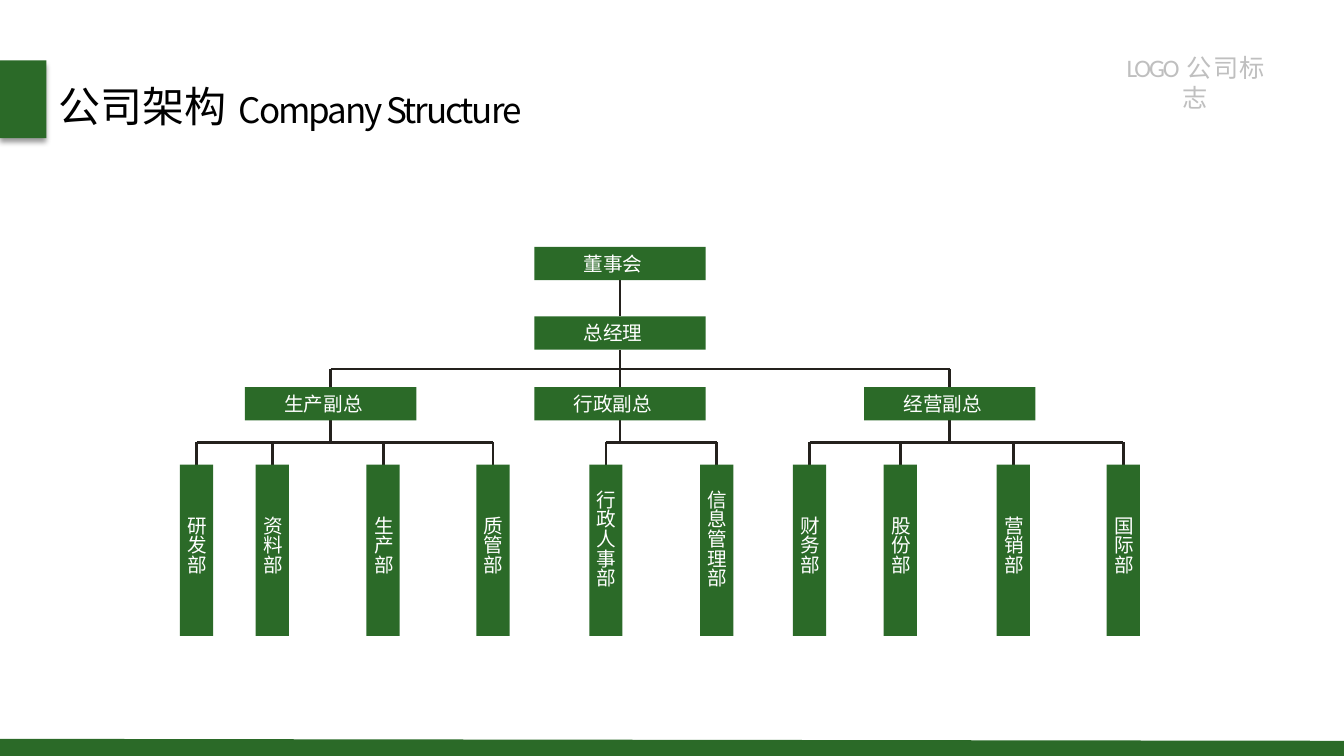
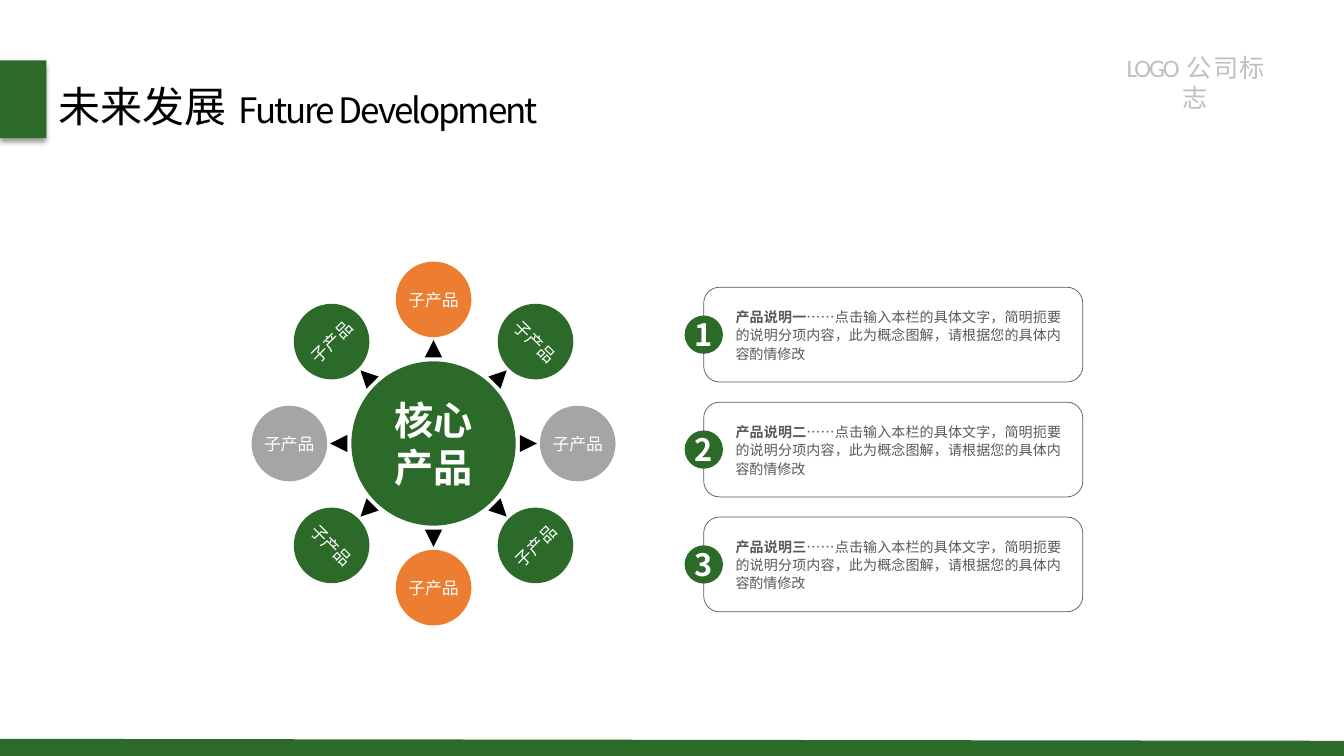
from math import cos, radians, sin

from lxml import etree
from pptx import Presentation
from pptx.dml.color import RGBColor
from pptx.enum.shapes import MSO_CONNECTOR as Link, MSO_SHAPE as Kind
from pptx.enum.text import MSO_ANCHOR as Anchor, PP_ALIGN as Align
from pptx.oxml.ns import qn
from pptx.util import Inches, Pt

GREEN, ORANGE, GREY = "2B6A28", "ED7D31", "A5A5A5"
WHITE, BLACK, INK, PALE, WIRE = "FFFFFF", "000000", "595959", "BFBFBF", "24211D"
FONT = "Noto Sans CJK SC"
TIGHT = -1.5

# Organisation chart: name and centre of each part
HEADS = [("董事会", 2.45), ("总经理", 3.14)]
MID = 6.15
TEAMS = [
    ("生产副总", 3.28, [("研发部", 1.95), ("资料部", 2.7), ("生产部", 3.8), ("质管部", 4.89)]),
    ("行政副总", MID, [("行政人事部", 6.01), ("信息管理部", 7.11)]),
    ("经营副总", 9.42, [("财务部", 8.03), ("股份部", 8.93), ("营销部", 10.05), ("国际部", 11.14)]),
]
LONG, THIN = 1.7, 0.33
TEAM_Y, DEPT_Y = 3.84, 4.61
BUS_Y, DROP_Y = 3.66, 4.39

# Product wheel and notes
CORE, CHILD = "核心产品", "子产品"
HUB_X, HUB_Y = 4.3, 4.4
TINTS = [ORANGE, GREEN, GREY, GREEN]
NOTES = ["产品说明一", "产品说明二", "产品说明三"]
DETAIL = "……点击输入本栏的具体文字，简明扼要的说明分项内容，此为概念图解，请根据您的具体内容酌情修改"
NOTE_Y, NOTE_H, NOTE_GAP = 2.85, 0.94, 0.2


def rgb(code):
    return RGBColor.from_string(code)


def box(*sizes):
    return [Inches(size) for size in sizes]


def frame(shape, pads=(0, 0, 0, 0), align=Align.CENTER, anchor=Anchor.MIDDLE):
    """Set insets (left, top, right, bottom) and return the first paragraph."""
    body = shape.text_frame
    body.word_wrap = True
    body.vertical_anchor = anchor
    body.margin_left, body.margin_top, body.margin_right, body.margin_bottom = box(*pads)
    para = body.paragraphs[0]
    para.alignment = align
    return para


def write(para, text, size, color, bold=False, face=FONT, track=0):
    run = para.add_run()
    run.text = text
    font = run.font
    font.size, font.bold, font.name = Pt(size), bold, face
    font.color.rgb = rgb(color)
    props = run._r.get_or_add_rPr()
    etree.SubElement(props, qn("a:ea")).set("typeface", FONT)
    if track:
        props.set("spc", str(int(track * 100)))


def paint(shape, fill=None, line=None):
    shape.shadow.inherit = False
    if fill:
        shape.fill.solid()
        shape.fill.fore_color.rgb = rgb(fill)
    else:
        shape.fill.background()
    if line:
        shape.line.color.rgb = rgb(line)
        shape.line.width = Pt(0.5)
    else:
        shape.line.fill.background()
    return shape


def draw(slide, kind, x, y, w, h, fill=None, line=None):
    return paint(slide.shapes.add_shape(kind, *box(x, y, w, h)), fill, line)


def disc(slide, kind, x, y, size, fill):
    """Draw a shape of equal sides around a centre."""
    return draw(slide, kind, x - size / 2, y - size / 2, size, size, fill)


def wire(slide, x1, y1, x2, y2):
    link = slide.shapes.add_connector(Link.STRAIGHT, *box(x1, y1, x2, y2))
    link.line.color.rgb = rgb(WIRE)
    link.line.width = Pt(0)
    etree.SubElement(link._element.spPr, qn("a:effectLst"))


def label(slide, x, y, w, h, pads, align=Align.LEFT):
    area = slide.shapes.add_textbox(*box(x, y, w, h))
    return frame(area, pads, align, Anchor.TOP)


def shade(shape):
    """Give a soft shadow straight below."""
    effects = shape._element.spPr.find(qn("a:effectLst"))
    outer = etree.SubElement(effects, qn("a:outerShdw"), blurRad=str(Pt(4)),
                             dist=str(Pt(3)), dir="5400000", algn="t", rotWithShape="0")
    color = etree.SubElement(outer, qn("a:srgbClr"), val=BLACK)
    etree.SubElement(color, qn("a:alpha"), val="40000")


def start(deck, title, sub):
    """Add a slide with the shared title, logo line and bands."""
    slide = deck.slides.add_slide(deck.slide_layouts[6])
    shade(draw(slide, Kind.RECTANGLE, 0, 0.6, 0.46, 0.77, GREEN))
    pads = (0.1, 0.05, 0.1, 0.05)
    write(label(slide, 0.48, 0.75, 1.95, 0.61, pads), title, 30, BLACK)
    write(label(slide, 2.32, 0.85, 4, 0.47, (0.05, 0.03, 0.05, 0.03)),
          sub, 25, BLACK, track=TIGHT)
    logo = label(slide, 10.98, 0.47, 1.74, 0.7, pads, Align.CENTER)
    for text, track in [("LOGO", TIGHT), (" ", 1), ("公 司 标 志", TIGHT)]:
        write(logo, text, 18, PALE, face="Calibri", track=track)
    path = slide.shapes.build_freeform(*box(0, 7.33))
    path.add_line_segments([box(13.33, 7.35), box(13.33, 7.5), box(0, 7.5)])
    paint(path.convert_to_shape(), GREEN)
    return slide


def post(slide, name, x, y):
    bar = draw(slide, Kind.RECTANGLE, x - LONG / 2, y, LONG, THIN, GREEN)
    write(frame(bar, (0, 0, 0.14, 0)), name, 14, WHITE)


def dept(slide, name, x):
    bar = draw(slide, Kind.RECTANGLE, x - THIN / 2, DEPT_Y, THIN, LONG, GREEN)
    para = frame(bar, align=Align.LEFT)
    bar.text_frame._txBody.bodyPr.set("vert", "eaVert")
    indent = 0.51 - 0.13 * (len(name) - 3)
    para._p.get_or_add_pPr().set("marL", str(Inches(indent)))
    write(para, name, 14, WHITE)


def chart(slide):
    (_, top), (_, low) = HEADS
    wire(slide, MID, top + THIN, MID, low)
    wire(slide, MID, low + THIN, MID, BUS_Y)
    wire(slide, TEAMS[0][1], BUS_Y, TEAMS[-1][1], BUS_Y)
    for name, y in HEADS:
        post(slide, name, MID, y)
    for name, x, depts in TEAMS:
        wire(slide, x, BUS_Y, x, TEAM_Y)
        wire(slide, x, TEAM_Y + THIN, x, DROP_Y)
        wire(slide, depts[0][1], DROP_Y, depts[-1][1], DROP_Y)
        post(slide, name, x, TEAM_Y)
        for unit, left in depts:
            wire(slide, left, DROP_Y, left, DEPT_Y)
            dept(slide, unit, left)


def wheel(slide):
    for i in range(8):
        turn = i * 45
        dx, dy = sin(radians(turn)), -cos(radians(turn))
        ball = disc(slide, Kind.OVAL, HUB_X + 1.43 * dx, HUB_Y + 1.43 * dy,
                    0.75, TINTS[i % 4])
        ball.rotation = (0, 45, 0, 315)[i % 4]
        write(frame(ball), CHILD, 12, WHITE)
        tip = disc(slide, Kind.ISOSCELES_TRIANGLE, HUB_X + 0.94 * dx,
                   HUB_Y + 0.94 * dy, 0.17, BLACK)
        tip.rotation = turn
    hub = disc(slide, Kind.OVAL, HUB_X, HUB_Y, 1.63, GREEN)
    write(frame(hub, (0.1, 0, 0.1, 0)), CORE, 28, WHITE, True)


def notes(slide):
    for i, head in enumerate(NOTES):
        y = NOTE_Y + i * (NOTE_H + NOTE_GAP)
        card = draw(slide, Kind.ROUNDED_RECTANGLE, 6.98, y, 3.76, NOTE_H, line=INK)
        para = frame(card, (0.27, 0, 0.17, 0), Align.JUSTIFY)
        para.line_spacing = Pt(13)
        write(para, head, 10, INK, True)
        write(para, DETAIL, 10, INK)
        badge = disc(slide, Kind.OVAL, 6.98, y + NOTE_H / 2, 0.38, GREEN)
        write(frame(badge), str(i + 1), 22, WHITE, True)


def main():
    deck = Presentation()
    deck.slide_width, deck.slide_height = box(13.33, 7.5)
    chart(start(deck, "公司架构", "Company Structure"))
    future = start(deck, "未来发展", "Future Development")
    wheel(future)
    notes(future)
    deck.save("out.pptx")


if __name__ == "__main__":
    main()
